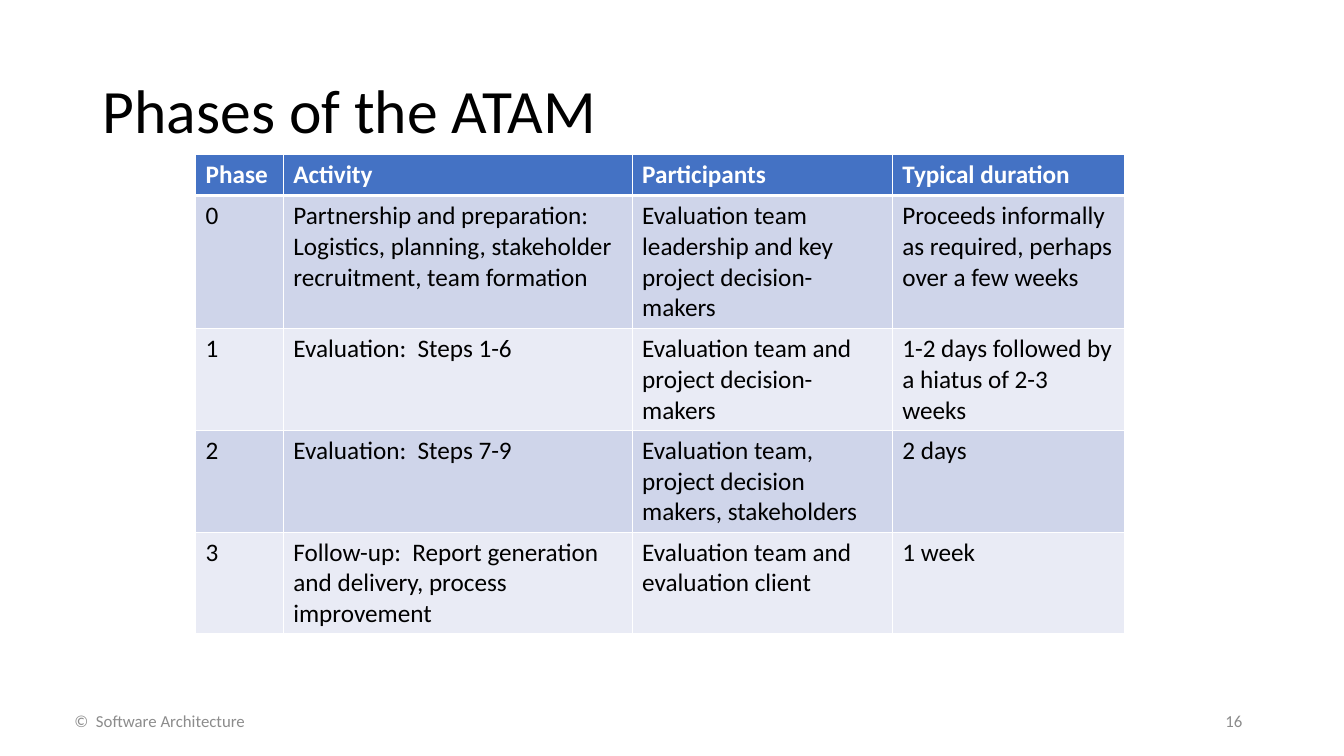
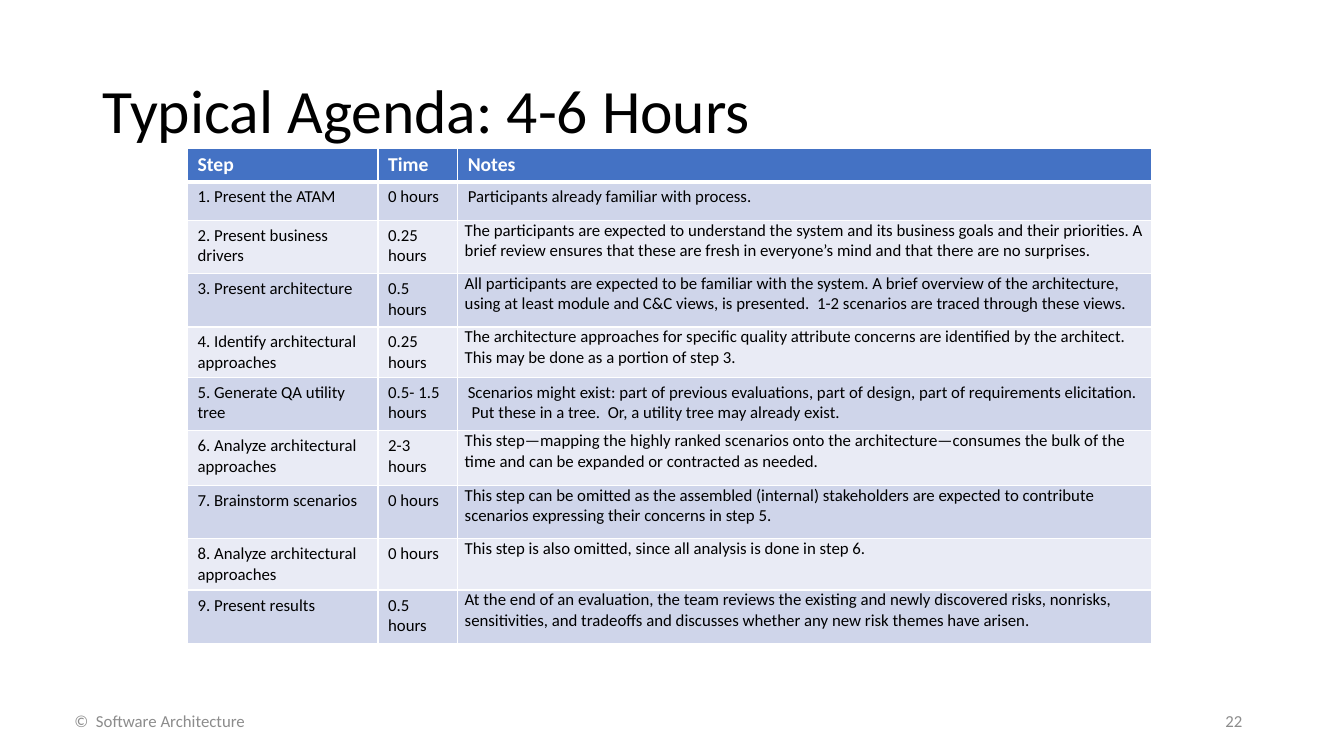
from lxml import etree
from pptx import Presentation
from pptx.dml.color import RGBColor
from pptx.enum.text import MSO_ANCHOR, MSO_AUTO_SIZE, PP_ALIGN
from pptx.oxml.ns import qn
from pptx.util import Inches, Pt

LEFT, CENTER, RIGHT = PP_ALIGN.LEFT, PP_ALIGN.CENTER, PP_ALIGN.RIGHT
MIDDLE = MSO_ANCHOR.MIDDLE
NO_AUTOFIT = MSO_AUTO_SIZE.NONE
TITLE_ONLY = 5

FONT = "Calibri"
COLORS = {
    "text": "000000",
    "footer": "8C8C8C",
    "white": "FFFFFF",
    "header": "4472C4",
    "odd_row": "CFD5EA",
    "even_row": "E9EBF5",
}
FOOTER_TEXT = "©  Software Architecture"
FOOTER_TOP, FOOTER_HEIGHT = 6.95, 0.4

PHASES = [
    ("Phase", "Activity", "Participants", "Typical duration"),
    ("0", "Partnership and preparation:  Logistics, planning, stakeholder "
     "recruitment, team formation",
     "Evaluation team leadership and key project decision-makers",
     "Proceeds informally as required, perhaps over a few weeks"),
    ("1", "Evaluation:  Steps 1-6",
     "Evaluation team and project decision-makers",
     "1-2 days followed by a hiatus of 2-3 weeks"),
    ("2", "Evaluation:  Steps 7-9",
     "Evaluation team, project decision makers, stakeholders", "2 days"),
    ("3", "Follow-up:  Report generation and delivery, process improvement",
     "Evaluation team and evaluation client", "1 week"),
]

AGENDA = [
    ("Step", "Time", "Notes"),
    ("1. Present the ATAM", "0 hours",
     "Participants already familiar with process."),
    ("2. Present business drivers", "0.25 hours",
     "The participants are expected to understand the system and its business "
     "goals and their priorities. A brief review ensures that these are fresh "
     "in everyone’s mind and that there are no surprises."),
    ("3. Present architecture", "0.5 hours",
     "All participants are expected to be familiar with the system. A brief "
     "overview of the architecture, using at least module and C&C views, is "
     "presented.  1-2 scenarios are traced through these views."),
    ("4. Identify architectural approaches", "0.25 hours",
     "The architecture approaches for specific quality attribute concerns are "
     "identified by the architect. This may be done as a portion of step 3."),
    ("5. Generate QA utility tree", "0.5- 1.5 hours",
     "Scenarios might exist: part of previous evaluations, part of design, "
     "part of requirements elicitation.  Put these in a tree.  Or, a utility "
     "tree may already exist."),
    ("6. Analyze architectural approaches", "2-3 hours",
     "This step—mapping the highly ranked scenarios onto the "
     "architecture—consumes the bulk of the time and can be expanded or "
     "contracted as needed."),
    ("7. Brainstorm scenarios", "0 hours",
     "This step can be omitted as the assembled (internal) stakeholders are "
     "expected to contribute scenarios expressing their concerns in step 5."),
    ("8. Analyze architectural approaches", "0 hours",
     "This step is also omitted, since all analysis is done in step 6."),
    ("9. Present results", "0.5 hours",
     "At the end of an evaluation, the team reviews the existing and newly "
     "discovered risks, nonrisks, sensitivities, and tradeoffs and discusses "
     "whether any new risk themes have arisen."),
]
# Steps whose notes sit tight against the top of their cell.
TIGHT_NOTES = {(step, 2) for step in (2, 3, 4, 6, 7, 8, 9)}


def add_run(paragraph, text, size, color, bold=False):
    """Add one formatted run to a paragraph."""
    run = paragraph.add_run()
    run.text = text
    run.font.name = FONT
    run.font.size = Pt(size)
    run.font.bold = bold
    run.font.color.rgb = RGBColor.from_string(COLORS[color])


def add_footer_box(slide, text, left, width, alignment):
    """Add one grey text box on the footer line."""
    box = slide.shapes.add_textbox(Inches(left), Inches(FOOTER_TOP),
                                   Inches(width), Inches(FOOTER_HEIGHT))
    frame = box.text_frame
    frame.word_wrap = True
    frame.vertical_anchor = MIDDLE
    paragraph = frame.paragraphs[0]
    paragraph.alignment = alignment
    add_run(paragraph, text, 12, "footer")


def add_slide(presentation, title, number):
    """Add a slide with the shared title style, footer and page number."""
    slide = presentation.slides.add_slide(
        presentation.slide_layouts[TITLE_ONLY])
    shape = slide.shapes.title
    shape.left, shape.top = Inches(0.92), Inches(0.4)
    shape.width, shape.height = Inches(11.5), Inches(1.45)
    frame = shape.text_frame
    frame.word_wrap = True
    frame.auto_size = NO_AUTOFIT
    frame.vertical_anchor = MIDDLE
    paragraph = frame.paragraphs[0]
    paragraph.alignment = LEFT
    paragraph.line_spacing = 0.9
    add_run(paragraph, title, 44, "text")
    add_footer_box(slide, str(number), 9.42, 3, RIGHT)
    add_footer_box(slide, FOOTER_TEXT, 0, 3.17, CENTER)
    return slide


def set_borders(cell, row_index):
    """Draw white cell borders, thicker below the header row."""
    top = 3 if row_index == 1 else 1
    bottom = 3 if row_index == 0 else 1
    widths = {"a:lnL": 1, "a:lnR": 1, "a:lnT": top, "a:lnB": bottom}
    properties = cell._tc.get_or_add_tcPr()
    for position, (tag, width) in enumerate(widths.items()):
        line = etree.Element(qn(tag), w=str(Pt(width)))
        fill = etree.SubElement(line, qn("a:solidFill"))
        etree.SubElement(fill, qn("a:srgbClr"), val=COLORS["white"])
        properties.insert(position, line)


def fill_cell(cell, text, row_index, sizes, tight):
    """Write and format one table cell; sizes are for header and body."""
    is_header = row_index == 0
    band = "odd_row" if row_index % 2 else "even_row"
    cell.fill.solid()
    cell.fill.fore_color.rgb = RGBColor.from_string(
        COLORS["header" if is_header else band])
    set_borders(cell, row_index)
    paragraph = cell.text_frame.paragraphs[0]
    if tight:
        cell.margin_left = cell.margin_right = Inches(0.07)
        cell.margin_top = cell.margin_bottom = Inches(0)
        paragraph.space_after = Pt(4)
    add_run(paragraph, text, sizes[0 if is_header else 1],
            "white" if is_header else "text", is_header)


def add_table(slide, rows, position, widths, heights, sizes, tight=()):
    """Add a banded table with a coloured header row."""
    left, top = position
    table = slide.shapes.add_table(
        len(rows), len(widths), Inches(left), Inches(top),
        Inches(sum(widths)), Inches(sum(heights))).table
    for column, width in zip(table.columns, widths):
        column.width = Inches(width)
    for row, height in zip(table.rows, heights):
        row.height = Inches(height)
    for row_index, texts in enumerate(rows):
        for column_index, text in enumerate(texts):
            fill_cell(table.cell(row_index, column_index), text, row_index,
                      sizes, (row_index, column_index) in tight)


def main():
    """Build and save both slides."""
    presentation = Presentation()
    presentation.slide_width = Inches(13.33)
    presentation.slide_height = Inches(7.5)

    phases = add_slide(presentation, "Phases of the ATAM", 16)
    add_table(phases, PHASES, (1.94, 1.53), (0.87, 3.46, 2.58, 2.3),
              (0.41, 1.32, 1.01, 1.01, 1.01), (18, 18))

    agenda = add_slide(presentation, "Typical Agenda: 4-6 Hours", 22)
    add_table(agenda, AGENDA, (1.86, 1.47), (1.89, 0.79, 6.88),
              (0.33, 0.38, 0.53, 0.53, 0.5, 0.53, 0.54, 0.53, 0.51, 0.53),
              (14, 12), TIGHT_NOTES)

    presentation.save("out.pptx")


main()
